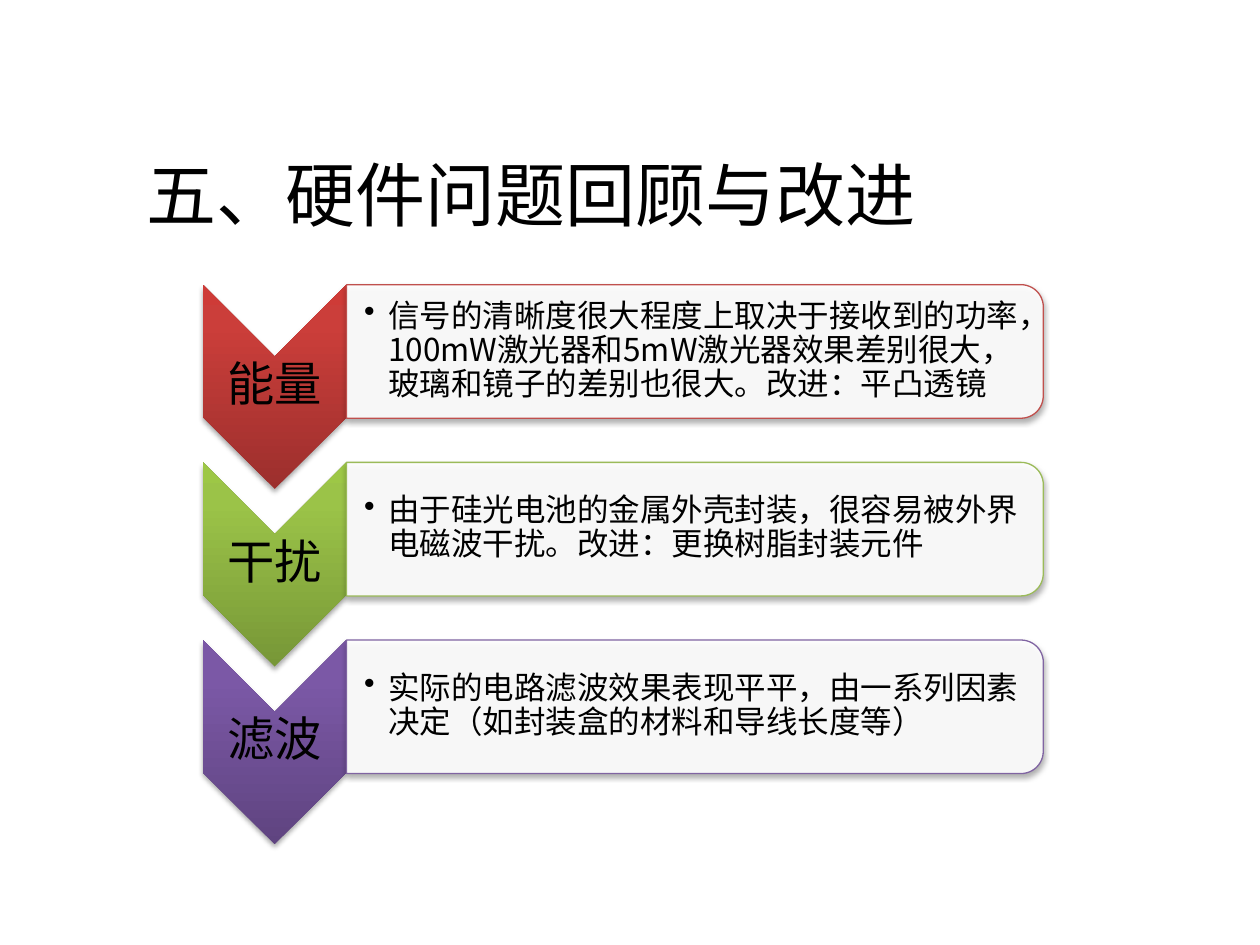
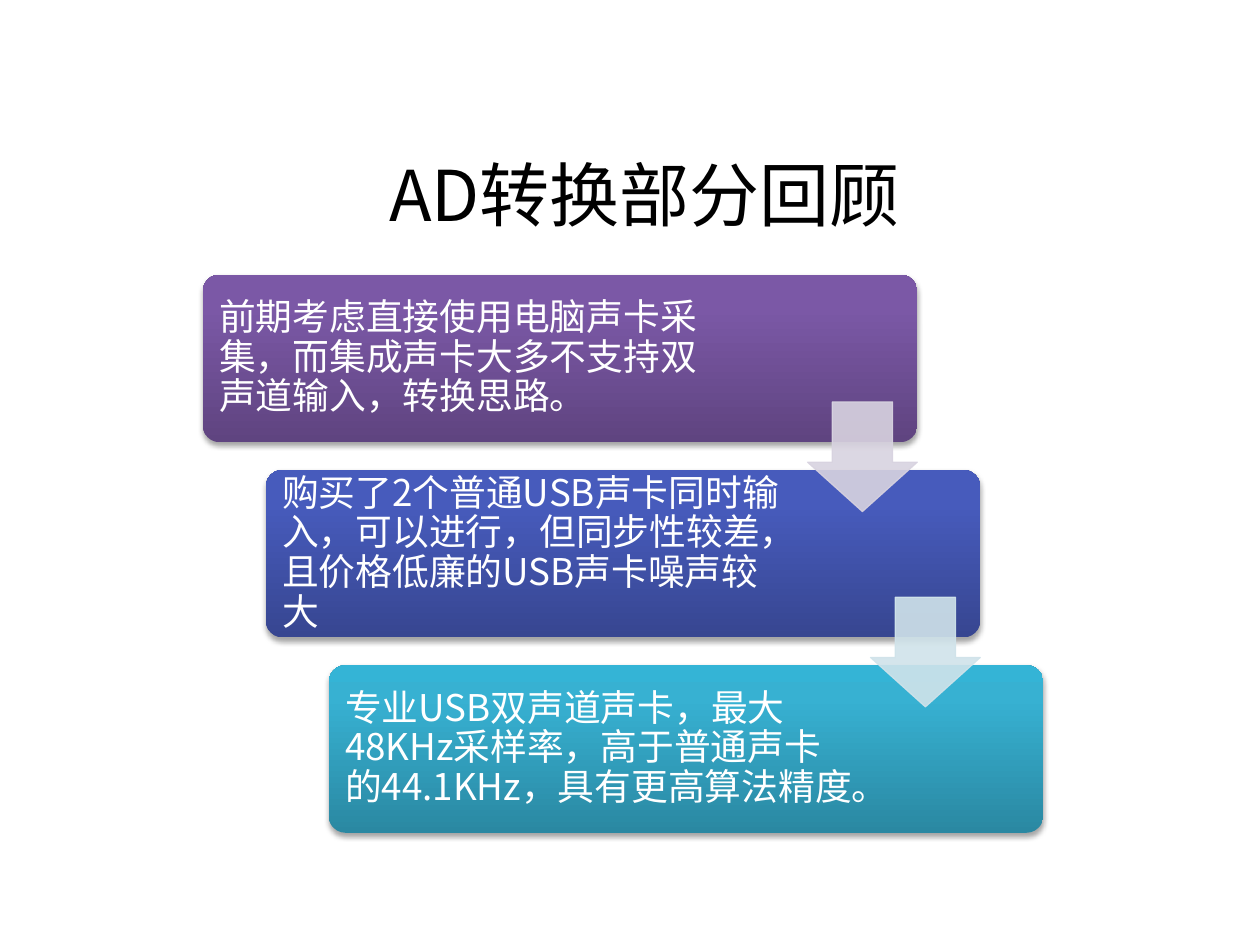
from dataclasses import dataclass

from pptx import Presentation
from pptx.dml.color import RGBColor
from pptx.enum.lang import MSO_LANGUAGE_ID
from pptx.enum.shapes import MSO_SHAPE
from pptx.enum.text import MSO_ANCHOR, PP_ALIGN
from pptx.oxml import parse_xml
from pptx.oxml.ns import nsdecls, qn
from pptx.util import Inches, Pt


@dataclass(frozen=True)
class Theme:
    font: str = "Noto Sans CJK SC"
    black: str = "000000"
    white: str = "FFFFFF"
    title_size: int = 40
    label_size: int = 27
    step_size: int = 21
    bullet_size: int = 18
    red: tuple = ("9C2F2D", "CB3E3A", "CE3B37")
    green: tuple = ("779737", "9BC348", "9DC746")
    purple: tuple = ("5F4480", "7B58A6", "7C57A8")
    blue: tuple = ("374691", "475BBC", "455ABF")
    teal: tuple = ("2A88A2", "37B1D2", "34B4D6")


THEME = Theme()

HARDWARE_TITLE = "五、硬件问题回顾与改进"
HARDWARE_ISSUES = [
    ("能量", "信号的清晰度很大程度上取决于接收到的功率，100mW激光器和5mW激光器效果差别很大，"
     "玻璃和镜子的差别也很大。改进：平凸透镜", THEME.red, "C0504D"),
    ("干扰", "由于硅光电池的金属外壳封装，很容易被外界电磁波干扰。改进：更换树脂封装元件",
     THEME.green, "9BBB59"),
    ("滤波", "实际的电路滤波效果表现平平，由一系列因素决定（如封装盒的材料和导线长度等）",
     THEME.purple, "8064A2"),
]

CONVERSION_TITLE = "AD转换部分回顾"
CONVERSION_STEPS = [
    ("前期考虑直接使用电脑声卡采集，而集成声卡大多不支持双声道输入，转换思路。", THEME.purple),
    ("购买了2个普通USB声卡同时输入，可以进行，但同步性较差，且价格低廉的USB声卡噪声较大",
     THEME.blue),
    ("专业USB双声道声卡，最大48KHz采样率，高于普通声卡的44.1KHz，具有更高算法精度。",
     THEME.teal),
]
ARROW_COLORS = ["D8D3E0", "D0E3EA"]


def set_text(shape, text, size, color=THEME.black, align=PP_ALIGN.LEFT,
             insets=(0.1, 0.05, 0.1, 0.05), line_spacing=None, bullet_indent=None):
    frame = shape.text_frame
    frame.word_wrap = True
    frame.vertical_anchor = MSO_ANCHOR.MIDDLE
    (frame.margin_left, frame.margin_top,
     frame.margin_right, frame.margin_bottom) = map(Inches, insets)
    paragraph = frame.paragraphs[0]
    paragraph.alignment = align
    if line_spacing:
        paragraph.line_spacing = line_spacing
    if bullet_indent:
        properties = paragraph._p.get_or_add_pPr()
        properties.set("marL", str(Inches(bullet_indent)))
        properties.set("indent", str(-Inches(bullet_indent)))
        properties.append(parse_xml(f'<a:buChar {nsdecls("a")} char="•"/>'))
    run = paragraph.add_run()
    run.text = text
    font = run.font
    font.name = THEME.font
    font.size = Pt(size)
    font.color.rgb = RGBColor.from_string(color)
    font.language_id = MSO_LANGUAGE_ID.SIMPLIFIED_CHINESE
    font._element.find(qn("a:latin")).addnext(
        parse_xml(f'<a:ea {nsdecls("a")} typeface="{THEME.font}"/>'))


def add_text(slide, box, text, **text_format):
    set_text(slide.shapes.add_textbox(*map(Inches, box)), text, **text_format)


def add_plain_shape(slide, kind, box, quarter_turn=False):
    left, top, width, height = box
    if quarter_turn:
        box = (left + (width - height) / 2, top + (height - width) / 2, height, width)
    shape = slide.shapes.add_shape(kind, *map(Inches, box))
    shape.rotation = 90 if quarter_turn else 0
    shape.shadow.inherit = False
    shape.line.fill.background()
    return shape


def fill_gradient(shape, colors):
    stops = "".join(f'<a:gs pos="{position}"><a:srgbClr val="{color}"/></a:gs>'
                    for position, color in zip((0, 80000, 100000), colors))
    shape.fill.background()
    properties = shape._element.spPr
    properties.replace(properties.find(qn("a:noFill")), parse_xml(
        f'<a:gradFill {nsdecls("a")} rotWithShape="0"><a:gsLst>{stops}</a:gsLst>'
        '<a:lin ang="16200000" scaled="0"/></a:gradFill>'))


def fill_translucent(fill, color, shape):
    fill.solid()
    fill.fore_color.rgb = RGBColor.from_string(color)
    for color_element in shape._element.spPr.iter(qn("a:srgbClr")):
        if len(color_element) == 0:
            color_element.append(parse_xml(f'<a:alpha {nsdecls("a")} val="90000"/>'))


def set_line(shape, color):
    shape.line.color.rgb = RGBColor.from_string(color)
    shape.line.width = Pt(0.75)


def cast_shadow(shape):
    shape._element.spPr.find(qn("a:effectLst")).append(parse_xml(
        f'<a:outerShdw {nsdecls("a")} blurRad="{Pt(3.1)}" dist="{Pt(1.8)}" dir="5400000" '
        'rotWithShape="0"><a:srgbClr val="000000"><a:alpha val="35000"/></a:srgbClr>'
        '</a:outerShdw>'))


def add_titled_slide(presentation, title, align):
    slide = presentation.slides.add_slide(presentation.slide_layouts[5])
    shape = slide.shapes.title
    shape.left, shape.top, shape.width, shape.height = map(Inches, (1.06, 1.15, 8.11, 0.77))
    set_text(shape, title, THEME.title_size, align=align)
    return slide


def build_hardware_slide(presentation):
    slide = add_titled_slide(presentation, HARDWARE_TITLE, PP_ALIGN.LEFT)
    left, first_top, pitch = 1.61, 2.26, 1.41
    chevron_width, chevron_height = 1.14, 1.62
    card_left, card_width, card_height = left + chevron_width, 5.53, 1.06
    for index, (label, detail, gradient, outline) in enumerate(HARDWARE_ISSUES):
        top = first_top + index * pitch
        chevron = add_plain_shape(slide, MSO_SHAPE.CHEVRON,
                                  (left, top, chevron_width, chevron_height), quarter_turn=True)
        fill_gradient(chevron, gradient)
        cast_shadow(chevron)
        add_text(slide, (left, top + 0.56, chevron_width, 0.49), label, size=THEME.label_size,
                 align=PP_ALIGN.CENTER, insets=(0.02,) * 4, line_spacing=0.9)
        card = add_plain_shape(slide, MSO_SHAPE.ROUND_2_SAME_RECTANGLE,
                               (card_left, top, card_width, card_height), quarter_turn=True)
        fill_translucent(card.fill, THEME.white, card)
        set_line(card, outline)
        cast_shadow(card)
        add_text(slide, (card_left, top + 0.05, 5.48, 0.95), detail, size=THEME.bullet_size,
                 insets=(0.14, 0.01, 0.01, 0.01), line_spacing=0.9, bullet_indent=0.19)


def build_conversion_slide(presentation):
    slide = add_titled_slide(presentation, CONVERSION_TITLE, PP_ALIGN.CENTER)
    width, height, arrow_size = 5.67, 1.33, 0.87
    corners = [(1.61 + 0.5 * index, 2.18 + 1.55 * index)
               for index in range(len(CONVERSION_STEPS))]
    for (left, top), (text, gradient) in zip(corners, CONVERSION_STEPS):
        step = add_plain_shape(slide, MSO_SHAPE.ROUNDED_RECTANGLE, (left, top, width, height))
        step.adjustments[0] = 0.1
        fill_gradient(step, gradient)
        cast_shadow(step)
        set_text(step, text, THEME.step_size, color=THEME.white,
                 insets=(0.09, 0.09, 1.45, 0.09), line_spacing=0.9)
    for (left, top), color in zip(corners, ARROW_COLORS):
        arrow = add_plain_shape(slide, MSO_SHAPE.DOWN_ARROW, (
            left + width - arrow_size, top + 1.01, arrow_size, arrow_size))
        arrow.adjustments[0], arrow.adjustments[1] = 0.55, 0.45
        set_line(arrow, color)
        fill_translucent(arrow.fill, color, arrow)


def main():
    presentation = Presentation()
    presentation.slide_width, presentation.slide_height = Inches(10), Inches(7.5)
    build_hardware_slide(presentation)
    build_conversion_slide(presentation)
    presentation.save("out.pptx")


if __name__ == "__main__":
    main()
